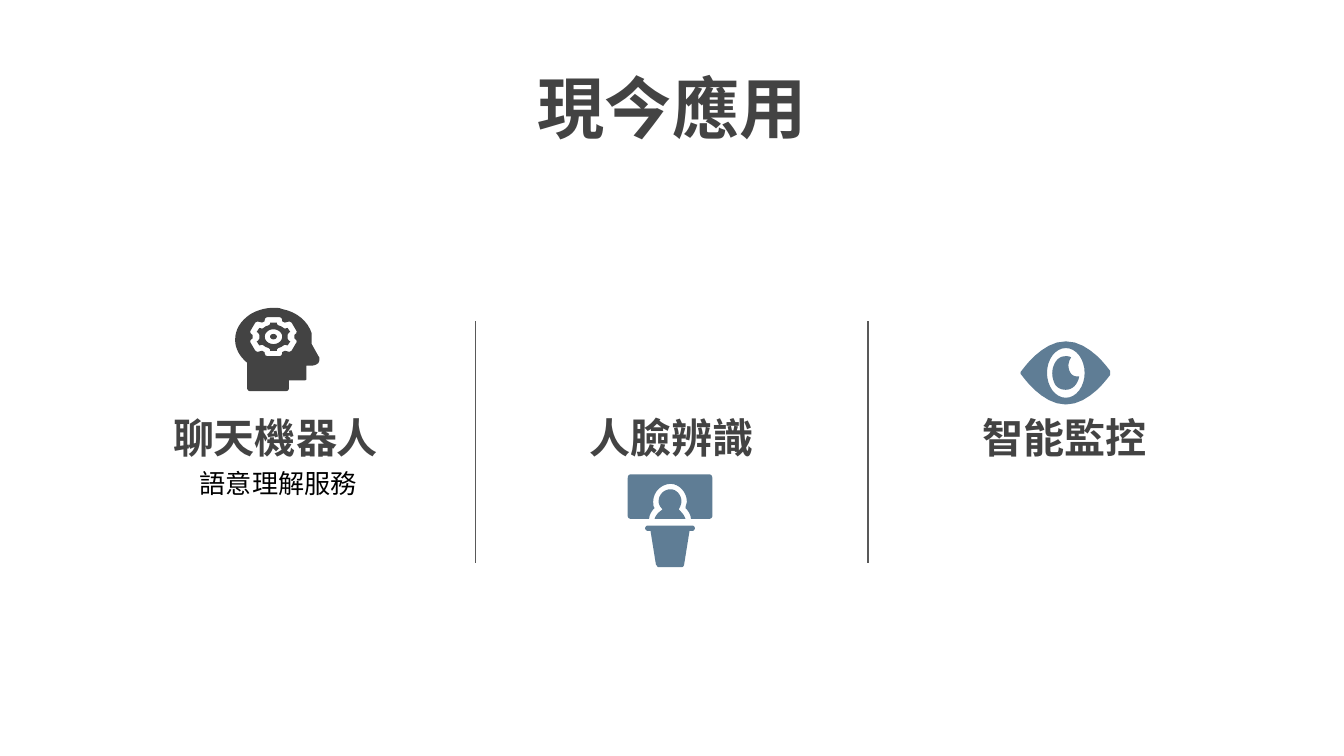
from lxml import etree
from pptx import Presentation
from pptx.dml.color import RGBColor
from pptx.enum import shapes, text
from pptx.oxml import ns
from pptx.util import Pt

CHARCOAL = RGBColor(0x43, 0x43, 0x43)
STEEL = RGBColor(0x5F, 0x7D, 0x95)
RULE_GRAY = RGBColor(0x59, 0x59, 0x59)
BLACK = RGBColor(0, 0, 0)

ICON_UNIT = 0.72  # points per step of the icon drawing grid
FINE = 100        # freeform steps per icon unit
COLUMN_W = 210.2
HEADING_H = 33.8


def curve(*segments):
    """Contour points; a 2-tuple is a corner, a 6-tuple a cubic Bezier."""
    points = [segments[0]]
    for segment in segments[1:]:
        if len(segment) == 2:
            points.append(segment)
            continue
        x0, y0 = points[-1]
        x1, y1, x2, y2, x3, y3 = segment
        for step in range(1, 9):
            t = step / 8
            a, b, c, d = (1 - t) ** 3, 3 * t * (1 - t) ** 2, 3 * t * t * (1 - t), t ** 3
            points.append((a * x0 + b * x1 + c * x2 + d * x3,
                           a * y0 + b * y1 + c * y2 + d * y3))
    return points


def ellipse(cx, cy, rx, ry):
    kx, ky = 0.55 * rx, 0.55 * ry
    return curve((cx, cy - ry),
                 (cx + kx, cy - ry, cx + rx, cy - ky, cx + rx, cy),
                 (cx + rx, cy + ky, cx + kx, cy + ry, cx, cy + ry),
                 (cx - kx, cy + ry, cx - rx, cy + ky, cx - rx, cy),
                 (cx - rx, cy - ky, cx - kx, cy - ry, cx, cy - ry))


def gear(cx, cy, quarter):
    """Mirror the upper right quarter of a cog around its centre."""
    right = quarter + [(x, -y) for x, y in reversed(quarter)]
    whole = right + [(-x, y) for x, y in reversed(right)]
    return [(cx + x, cy + y) for x, y in whole]


COG_RIM = [(4.5, -14.5), (5.9, -14), (6.5, -12.5), (6.5, -11.5), (8.5, -10.5),
           (10.5, -11), (12, -11.3), (13.5, -10.5), (17.3, -4), (17, -2.5), (15.5, -1.2)]
COG = [(2.5, -10.5), (2.5, -9.5), (3.5, -8.5), (5.8, -7.7), (7.5, -6.5), (8.5, -6),
       (9.5, -6.3), (10.5, -6.5), (12.5, -3.5), (11.5, -3), (10.5, -1.5)]

# Each icon is a list of parts; each part is an outline followed by its holes.
THINKING_HEAD = [
    [curve((29, 0), (22, 0, 16, 2, 11, 5), (4, 10, 0, 16, 0, 24), (0, 30, 3, 36, 9, 41),
           (9, 60), (9, 61, 10, 62, 11, 62), (38, 62), (39, 62, 40, 61, 40, 60),
           (40, 54), (51, 54), (52, 54, 53, 54, 53, 53), (53, 43), (57, 43),
           (59, 43, 61, 42, 62, 41), (63, 39, 63, 37, 62, 36), (57, 27),
           (57, 24, 57, 21, 57, 19), (54, 10, 46, 3, 35, 1), (33, 0, 31, 0, 29, 0)),
     gear(28.5, 21.5, COG_RIM)],
    [gear(28.5, 21.5, COG), ellipse(28.5, 21.5, 6.5, 5.5)],
    [ellipse(28.5, 21.5, 2.5, 2)],
]
SPEAKER = [
    [curve((15, 38), (14, 38, 13, 39, 13, 40), (13, 41, 14, 42, 15, 42), (17, 42), (21, 67),
           (22, 68, 22, 69, 23, 69), (40, 69), (41, 69, 42, 68, 42, 67), (46, 42), (48, 42),
           (49, 42, 50, 41, 50, 40), (50, 39, 49, 38, 48, 38))],
    [curve((2, 0), (1, 0, 0, 1, 0, 3), (0, 31), (0, 32, 1, 33, 2, 33), (16, 33),
           (16, 30, 18, 27, 20, 25), (19, 24, 19, 22, 19, 20), (19, 13, 25, 7, 32, 7),
           (38, 7, 44, 13, 44, 20), (44, 22, 43, 23, 43, 25), (45, 27, 47, 30, 47, 33),
           (61, 33), (62, 33, 63, 32, 63, 31), (63, 3), (63, 1, 62, 0, 61, 0))],
    [curve((32, 11), (27, 11, 23, 15, 23, 20), (23, 22, 24, 24, 26, 26),
           (23, 28, 21, 30, 20, 33), (43, 33), (42, 30, 40, 28, 38, 26),
           (39, 24, 40, 22, 40, 20), (40, 15, 36, 11, 32, 11))],
]
EYE = [
    [curve((34, 0), (16, 0, 2, 21, 1, 22), (0, 23, 0, 24, 1, 25), (2, 26, 16, 47, 34, 47),
           (52, 47, 66, 26, 67, 25), (67, 24, 67, 23, 67, 22), (66, 21, 52, 0, 34, 0)),
     ellipse(34, 23.5, 14, 18.5)],
    [curve((34, 11), (30, 11, 27, 13, 25, 18), (23, 23, 24, 28, 26, 32),
           (28, 35, 31, 36, 34, 36), (39, 36, 43, 32, 44, 26), (42, 26),
           (39, 26, 36, 23, 36, 18), (36, 16, 37, 13, 38, 12), (37, 11, 35, 11, 34, 11))],
]


def draw_icon(slide, parts, left, top, color):
    icon = slide.shapes.add_group_shape()
    for part in parts:
        scaled = [[(x * FINE, y * FINE) for x, y in contour] for contour in part]
        builder = icon.shapes.build_freeform(*scaled[0][0], scale=Pt(ICON_UNIT) / FINE)
        builder.add_line_segments(scaled[0][1:], close=True)
        for hole in scaled[1:]:
            builder.move_to(*hole[0])
            builder.add_line_segments(hole[1:], close=True)
        piece = builder.convert_to_shape(Pt(left), Pt(top))
        piece.shadow.inherit = False
        piece.fill.solid()
        piece.fill.fore_color.rgb = color
        piece.line.fill.background()


def write(holder, words, size, font, color, bold=False, anchor=text.MSO_ANCHOR.TOP):
    frame = holder.text_frame
    frame.word_wrap = True
    frame.auto_size = text.MSO_AUTO_SIZE.NONE
    frame.vertical_anchor = anchor
    frame.margin_left = frame.margin_right = Pt(7.2)
    frame.margin_top = frame.margin_bottom = Pt(7.2)
    paragraph = frame.paragraphs[0]
    paragraph.alignment = text.PP_ALIGN.CENTER
    run = paragraph.add_run()
    run.text = words
    run.font.size = Pt(size)
    run.font.name = font
    run.font.bold = bold
    run.font.color.rgb = color


def place_title(slide, words, left, top, width, height):
    title = slide.shapes.title
    title.left, title.top, title.width, title.height = map(Pt, (left, top, width, height))
    write(title, words, 36, "Roboto Condensed", CHARCOAL, bold=True)


def add_application(slide, left, top, heading, icon, icon_at, color, detail=None):
    """Column with a heading and an icon offset from the heading's corner."""
    name = slide.shapes.add_textbox(Pt(left), Pt(top), Pt(COLUMN_W), Pt(HEADING_H))
    write(name, heading, 22, "Lato", CHARCOAL, bold=True, anchor=text.MSO_ANCHOR.BOTTOM)
    if detail:
        note = slide.shapes.add_textbox(Pt(left + 26), Pt(top + 22.4), Pt(161.3), Pt(79.2))
        write(note, detail, 14, "Roboto Condensed", BLACK)
    draw_icon(slide, icon, left + icon_at[0], top + icon_at[1], color)


def add_divider(slide, x, top, height):
    divider = slide.shapes.add_connector(
        shapes.MSO_CONNECTOR.STRAIGHT, Pt(x), Pt(top), Pt(x), Pt(top + height))
    divider.line.color.rgb = RULE_GRAY
    divider.line.width = Pt(0.75)
    etree.SubElement(divider._element.spPr, ns.qn("a:effectLst"))


def main():
    deck = Presentation()
    deck.slide_width, deck.slide_height = Pt(720), Pt(405)
    slide = deck.slides.add_slide(deck.slide_layouts[5])
    place_title(slide, "現今應用", 154.8, 28.1, 410.4, 74.2)

    second, third = 254.9, 254.9 + COLUMN_W
    top = 221
    add_application(slide, 42.5, top, "聊天機器人", THINKING_HEAD, (83.5, -56.1), CHARCOAL,
                    detail="語意理解服務")
    add_application(slide, second, top, "人臉辨識", SPEAKER, (81.4, 33.2), STEEL)
    add_application(slide, third, top, "智能監控", EYE, (81.4, -38.1), STEEL)
    for x in (second, third):
        add_divider(slide, x, 172.1, 129.6)
    deck.save("out.pptx")


if __name__ == "__main__":
    main()
